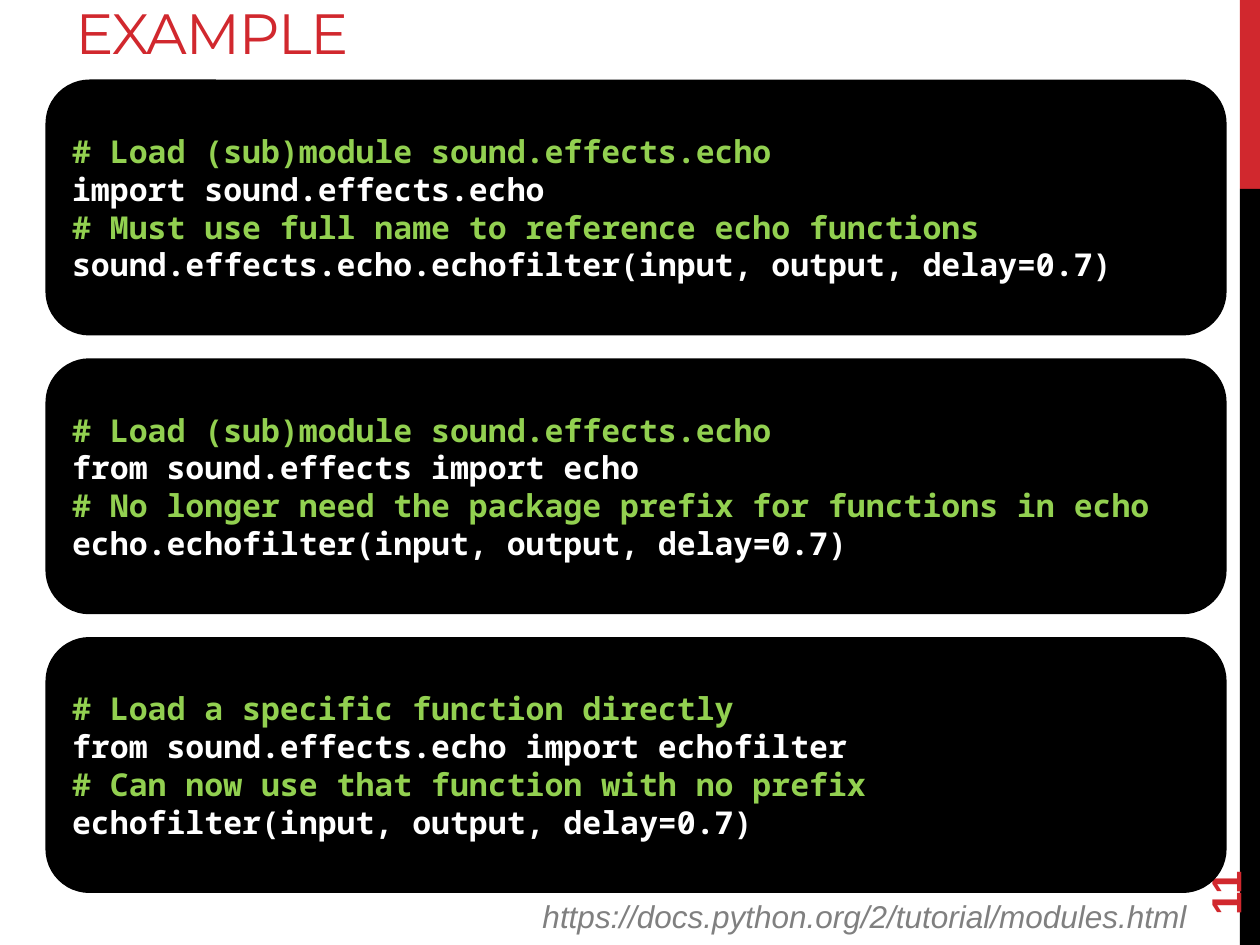
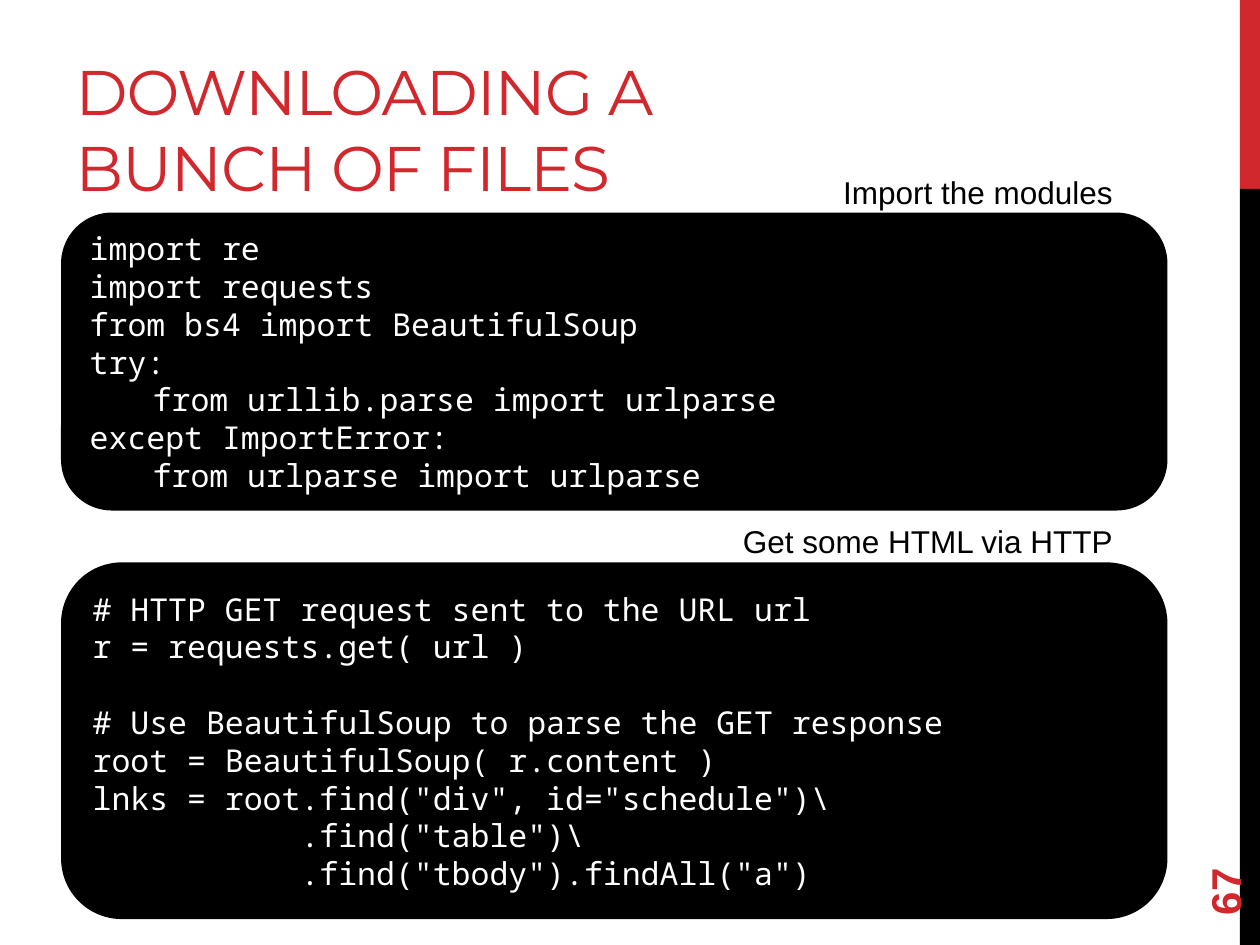
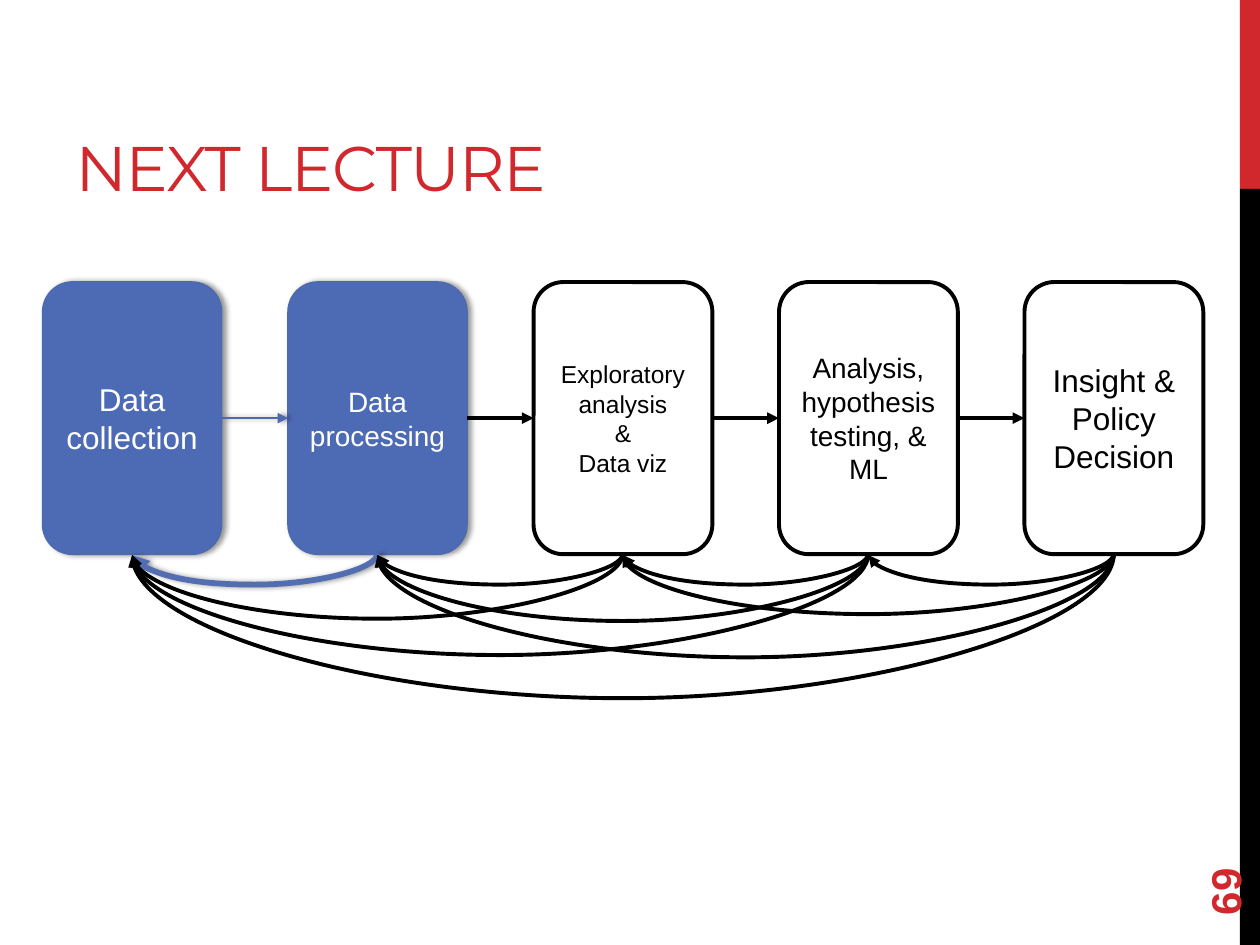
from lxml import etree
from pptx import Presentation
from pptx.dml.color import RGBColor
from pptx.enum.shapes import MSO_CONNECTOR, MSO_SHAPE
from pptx.enum.text import MSO_ANCHOR, MSO_AUTO_SIZE, PP_ALIGN
from pptx.oxml.ns import qn
from pptx.util import Pt

RECT, ROUND = MSO_SHAPE.RECTANGLE, MSO_SHAPE.ROUNDED_RECTANGLE
STRAIGHT, CURVE = MSO_CONNECTOR.STRAIGHT, MSO_CONNECTOR.CURVE
TOP, MIDDLE, BOTTOM = MSO_ANCHOR.TOP, MSO_ANCHOR.MIDDLE, MSO_ANCHOR.BOTTOM
LEFT, CENTER, RIGHT = PP_ALIGN.LEFT, PP_ALIGN.CENTER, PP_ALIGN.RIGHT
NO_FIT = MSO_AUTO_SIZE.NONE

RED, BLACK, WHITE = "D1282E", "000000", "FFFFFF"
GREEN, GRAY = "92D050", "808080"
BLUE, EDGE, BACK = "4D6BB5", "4E6AAE", "526DB0"
SANS, HEAD, MONO = "Arial", "Montserrat", "Noto Sans Mono"
SIDE_LEFT, SIDE_WIDTH = 708.5, 11.5
LEAD = 1.2
SITE_LEFT, SITE_BOTTOM, SITE_RIGHT = 1, 2, 3

LOADS = [
    """# Load (sub)module sound.effects.echo
import sound.effects.echo
# Must use full name to reference echo functions
sound.effects.echo.echofilter(input, output, delay=0.7)""",
    """# Load (sub)module sound.effects.echo
from sound.effects import echo
# No longer need the package prefix for functions in echo
echo.echofilter(input, output, delay=0.7)""",
    """# Load a specific function directly
from sound.effects.echo import echofilter
# Can now use that function with no prefix
echofilter(input, output, delay=0.7)""",
]

MODULES = """import re
import requests
from bs4 import BeautifulSoup
try:
\tfrom urllib.parse import urlparse
except ImportError:
\tfrom urlparse import urlparse"""

FETCH = r"""# HTTP GET request sent to the URL url
r = requests.get( url )

# Use BeautifulSoup to parse the GET response
root = BeautifulSoup( r.content )
lnks = root.find("div", id="schedule")\
           .find("table")\
           .find("tbody").findAll("a")"""

STAGES = [
    ("Data collection", 18),
    ("Data processing", 16),
    ("Exploratory analysis\n&\nData viz", 14),
    ("Analysis, hypothesis testing, & ML", 16),
    ("Insight & Policy Decision", 18),
]
DONE = 2
DEPTHS = {
    (1, 0): 18,
    (2, 1): 18, (2, 0): 37.64,
    (3, 2): 18, (3, 1): 38.95, (3, 0): 58.58,
    (4, 3): 18, (4, 2): 35.02, (4, 1): 59.89, (4, 0): 83.45,
}


def rgb(text):
    return RGBColor.from_string(text)


def assign(target, values):
    for key, value in values.items():
        setattr(target, key, value)


def style(font, color, **look):
    assign(font, look)
    font.color.rgb = rgb(color)


def write(frame, text, size, color, name=SANS, align=LEFT, anchor=MIDDLE,
          accent=None, **look):
    assign(frame, {"word_wrap": True, "auto_size": NO_FIT,
                   "vertical_anchor": anchor})
    first, gap = True, 0
    for line in text.split("\n"):
        if not line:
            gap += size * LEAD
            continue
        para = frame.paragraphs[0] if first else frame.add_paragraph()
        assign(para, {"alignment": align, "line_spacing": Pt(size * LEAD)})
        if gap:
            para.space_before = Pt(gap)
        if line.startswith("\t"):
            tabs = etree.SubElement(para._p.get_or_add_pPr(), qn("a:tabLst"))
            etree.SubElement(tabs, qn("a:tab"), pos=str(Pt(36)), algn="l")
        run = para.add_run()
        run.text = line
        tint = accent if accent and line.startswith("#") else color
        style(run.font, tint, name=name, size=Pt(size), **look)
        first, gap = False, 0


def add_box(slide, kind, place, fill, edge=None, weight=2.25):
    box = slide.shapes.add_shape(kind, *map(Pt, place))
    box.shadow.inherit = False
    box.fill.solid()
    box.fill.fore_color.rgb = rgb(fill)
    if edge:
        box.line.color.rgb = rgb(edge)
        box.line.width = Pt(weight)
    else:
        box.line.fill.background()
    return box


def add_text(slide, place, text, size, color, **look):
    box = slide.shapes.add_textbox(*map(Pt, place))
    write(box.text_frame, text, size, color, **look)
    return box


def add_shade(effects):
    shade = etree.SubElement(effects, qn("a:outerShdw"), blurRad=str(Pt(3.1)),
                             dist=str(Pt(1.8)), dir="0", rotWithShape="0")
    tint = etree.SubElement(shade, qn("a:srgbClr"), val=BLACK)
    etree.SubElement(tint, qn("a:alpha"), val="40000")


def add_arrow(slide, kind, ends, sites, color, weight, shade):
    arrow = slide.shapes.add_connector(kind, 0, 0, 0, 0)
    arrow.begin_connect(ends[0], sites[0])
    arrow.end_connect(ends[1], sites[1])
    arrow.line.color.rgb = rgb(color)
    arrow.line.width = Pt(weight)
    etree.SubElement(arrow.line._get_or_add_ln(), qn("a:tailEnd"),
                     type="triangle")
    effects = etree.SubElement(arrow.element.spPr, qn("a:effectLst"))
    if shade:
        add_shade(effects)
    return arrow


def add_loop(slide, start, end, depth, color, weight, shade):
    loop = add_arrow(slide, CURVE, (start, end), (SITE_BOTTOM, SITE_BOTTOM),
                     color, weight, shade)
    span = start.left - end.left
    mid = (start.left + end.left + start.width) // 2
    base = start.top + start.height
    props = loop.element.spPr
    frame = props.find(qn("a:xfrm"))
    for key in ("flipH", "flipV"):
        frame.attrib.pop(key, None)
    frame.set("rot", "5400000")
    assign(loop, {"left": mid - Pt(0.5), "top": base - span // 2,
                  "width": Pt(1), "height": span})
    shape = props.find(qn("a:prstGeom"))
    shape.set("prst", "curvedConnector3")
    guides = shape.find(qn("a:avLst"))
    if guides is None:
        guides = etree.SubElement(shape, qn("a:avLst"))
    etree.SubElement(guides, qn("a:gd"), name="adj1",
                     fmla=f"val {round(depth * 100000)}")


def add_bands(slide, layout):
    bands = [(0, 108, RED), (108, 432, BLACK)]
    for mark, (top, height, fill) in enumerate(bands, 20):
        band = add_box(slide, RECT, (SIDE_LEFT, top, SIDE_WIDTH, height), fill)
        band.element.nvSpPr.cNvPr.set("id", str(mark))
        layout.shapes.element.append(band.element)


def add_page(deck, title, number, place=(36, 12.24, 456, 108), size=36):
    slide = deck.slides.add_slide(deck.slide_layouts[5])
    head = slide.shapes.title
    keys = ("left", "top", "width", "height")
    assign(head, dict(zip(keys, map(Pt, place))))
    frame = head.text_frame
    assign(frame, {"word_wrap": True, "auto_size": NO_FIT,
                   "vertical_anchor": BOTTOM})
    para = frame.paragraphs[0]
    para.alignment = LEFT
    run = para.add_run()
    run.text = title
    style(run.font, RED, name=HEAD, size=Pt(size))
    run.font._element.set("spc", "-60")
    page = add_text(slide, (648, 463.7, 103.7, 28.8), number, 24, RED,
                    bold=True)
    page.rotation = 270
    return slide


def add_code(slide, place, text, **look):
    box = add_box(slide, ROUND, place, BLACK, BLACK)
    write(box.text_frame, text, 18, WHITE, name=MONO, **look)


def add_block(slide, place, text, label, width):
    left, top, wide, _ = place
    add_code(slide, place, text)
    spot = (left + wide - 23 - width, top - 27.5, width, 28.8)
    add_text(slide, spot, label, 18, BLACK, align=RIGHT, anchor=TOP)


def load_page(deck):
    slide = add_page(deck, "EXAMPLE", "11", (36, -8.64, 456, 49.7), 32.4)
    for row, text in enumerate(LOADS):
        add_code(slide, (27.1, 46.6 + row * 159.3, 672.7, 144), text,
                 accent=GREEN, bold=True)
    add_text(slide, (0, 509.2, 685.3, 28.8),
             "https://docs.python.org/2/tutorial/modules.html", 18, GRAY,
             align=RIGHT, anchor=TOP, italic=True)
    return slide


def fetch_page(deck):
    slide = add_page(deck, "DOWNLOADING A BUNCH OF FILES", "67")
    add_block(slide, (36, 122.6, 630, 168), MODULES,
              "Import the modules", 183)
    add_block(slide, (36, 322.5, 630, 201.6), FETCH,
              "Get some HTML via HTTP", 227)


def add_flow(slide, left, top, wide, high, pitch):
    boxes = []
    for step, (text, size) in enumerate(STAGES):
        done = step < DONE
        fill, edge, weight = (BLUE, EDGE, 1) if done else (WHITE, BLACK, 2.25)
        box = add_box(slide, ROUND, (left + step * pitch, top, wide, high),
                      fill, edge, weight)
        if done:
            add_shade(box.element.spPr.find(qn("a:effectLst")))
        write(box.text_frame, text, size, WHITE if done else BLACK,
              align=CENTER)
        if boxes:
            add_arrow(slide, STRAIGHT, (boxes[-1], box),
                      (SITE_RIGHT, SITE_LEFT), edge, weight, done)
        boxes.append(box)
    for (start, end), depth in DEPTHS.items():
        done = start < DONE
        color, weight = (BACK, 3.25) if done else (BLACK, 2.25)
        add_loop(slide, boxes[start], boxes[end], depth, color, weight, done)


def next_page(deck):
    slide = add_page(deck, "NEXT LECTURE", "69")
    add_flow(slide, 24.4, 161.2, 102.2, 155.5, 140.25)


def main():
    deck = Presentation()
    deck.slide_width, deck.slide_height = Pt(720), Pt(540)
    slide = load_page(deck)
    add_bands(slide, deck.slide_layouts[5])
    fetch_page(deck)
    next_page(deck)
    deck.save("out.pptx")


if __name__ == "__main__":
    main()
